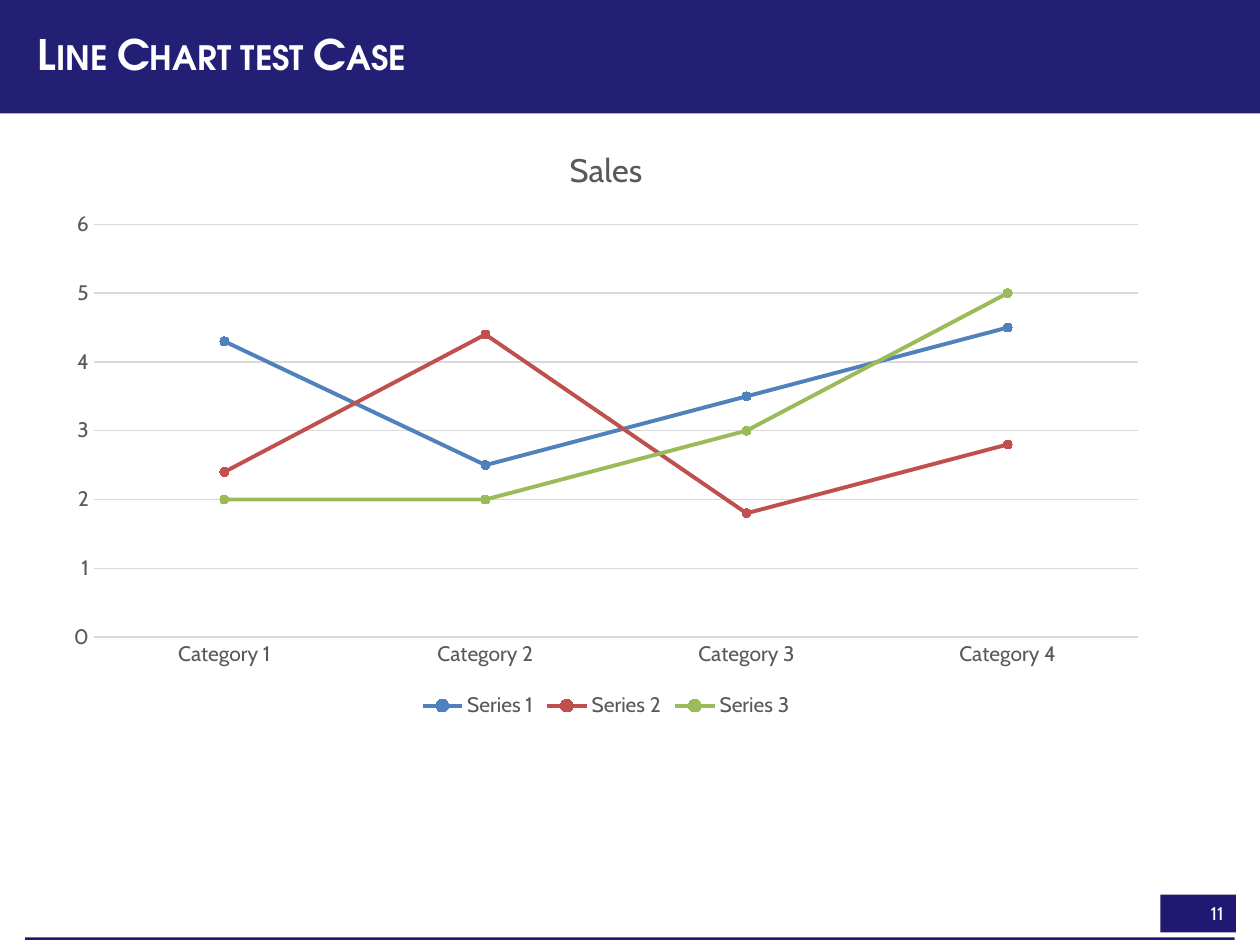
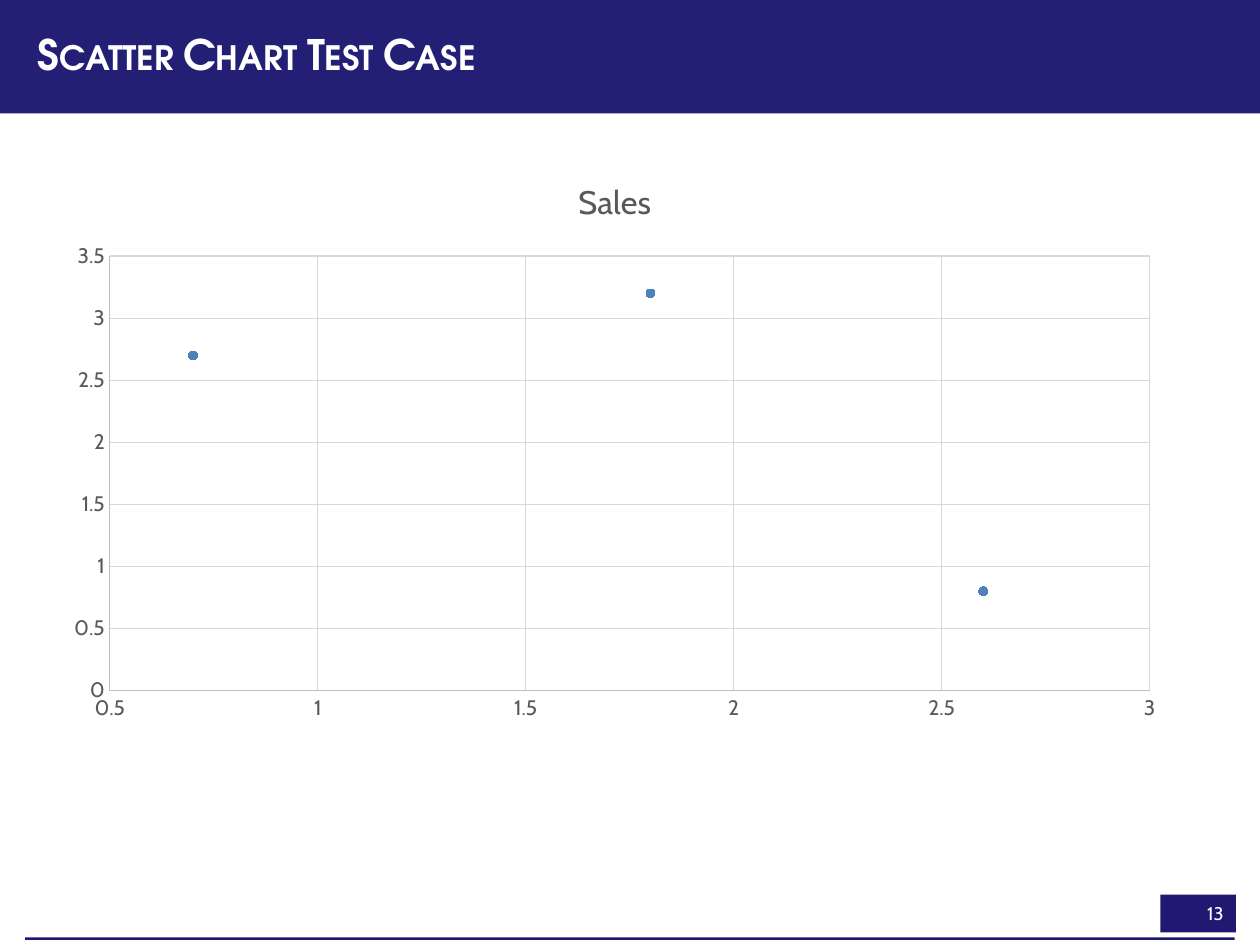
from dataclasses import dataclass

from pptx import Presentation
from pptx.chart.data import CategoryChartData, XyChartData
from pptx.dml.color import RGBColor
from pptx.enum.chart import XL_CHART_TYPE as ChartType
from pptx.enum.chart import XL_LEGEND_POSITION as LegendPosition
from pptx.enum.chart import XL_MARKER_STYLE as MarkerStyle
from pptx.enum.chart import XL_TICK_MARK as TickMark
from pptx.enum.shapes import MSO_SHAPE as ShapeType
from pptx.enum.text import MSO_ANCHOR as Anchor
from pptx.enum.text import PP_ALIGN as Align
from pptx.util import Inches, Pt


@dataclass(frozen=True)
class Theme:
    band: str = "231F74"
    rule: str = "20186F"
    number_box: str = "211971"
    white: str = "FFFFFF"
    chart_text: str = "595959"
    grid: str = "D9D9D9"
    scatter_axis: str = "BFBFBF"
    series: tuple = ("4F81BD", "C0504D", "9BBB59")
    title_font: str = "TeX Gyre Adventor"
    body_font: str = "Cabin"
    title_size: float = 24
    number_size: float = 10.5
    chart_title_size: float = 18.6
    label_size: float = 12
    hairline: float = 0.75
    series_line: float = 2.25
    marker: int = 5


THEME = Theme()
SLIDE_WIDTH, SLIDE_HEIGHT = 10, 7.5
MARGIN = 0.2


def rgb(color):
    return RGBColor.from_string(color)


def format_font(font, size, color, name=THEME.body_font, bold=False):
    font.size = Pt(size)
    font.name = name
    font.bold = bold
    font.color.rgb = rgb(color)


def write_text(frame, text, size, color, name=THEME.body_font, bold=False,
               small_caps=False, align=Align.LEFT, spacing=1.0):
    frame.word_wrap = True
    frame.vertical_anchor = Anchor.MIDDLE
    paragraph = frame.paragraphs[0]
    paragraph.alignment = align
    paragraph.line_spacing = spacing
    run = paragraph.add_run()
    run.text = text
    format_font(run.font, size, color, name, bold)
    if small_caps:
        run.font._element.set("cap", "small")


def add_bar(slide, box, color):
    bar = slide.shapes.add_shape(ShapeType.RECTANGLE, *map(Inches, box))
    bar.shadow.inherit = False
    bar.fill.solid()
    bar.fill.fore_color.rgb = rgb(color)
    bar.line.fill.background()
    return bar


def add_header(slide, box, title):
    left, top, width, height = box
    add_bar(slide, box, THEME.band)
    title_box = slide.shapes.add_textbox(
        Inches(left + MARGIN), Inches(top + 0.1),
        Inches(width - 2 * MARGIN), Inches(height - 0.2))
    write_text(title_box.text_frame, title, THEME.title_size, THEME.white,
               name=THEME.title_font, bold=True, small_caps=True, spacing=0.9)


def add_footer(slide, box, number):
    left, top, width, height = box
    number_box = add_bar(slide, (left + width - 0.59, top, 0.6, 0.3), THEME.number_box)
    write_text(number_box.text_frame, str(number), THEME.number_size,
               THEME.white, align=Align.RIGHT)
    add_bar(slide, (left, top + height - 0.02, width, 0.02), THEME.rule)


def add_base_slide(presentation, title, number):
    slide = presentation.slides.add_slide(presentation.slide_layouts[6])
    add_footer(slide, (MARGIN, 7.1, SLIDE_WIDTH - 2 * MARGIN, 0.36), number)
    add_header(slide, (0, 0, SLIDE_WIDTH, 0.9), title)
    return slide


def style_line(line, color, width=THEME.hairline):
    line.color.rgb = rgb(color)
    line.width = Pt(width)


def style_axis(axis, line_color=None, grid=True, scale=None):
    axis.major_tick_mark = axis.minor_tick_mark = TickMark.NONE
    format_font(axis.tick_labels.font, THEME.label_size, THEME.chart_text)
    axis.tick_labels.number_format = "General"
    axis.tick_labels.number_format_is_linked = False
    if line_color:
        style_line(axis.format.line, line_color)
    else:
        axis.format.line.fill.background()
    axis.has_major_gridlines = grid
    if grid:
        style_line(axis.major_gridlines.format.line, THEME.grid)
    if scale:
        axis.minimum_scale, axis.maximum_scale, axis.major_unit = scale


def add_chart(slide, box, chart_type, data, title):
    chart = slide.shapes.add_chart(chart_type, *map(Inches, box), data).chart
    format_font(chart.font, THEME.label_size, THEME.chart_text)
    chart.has_title = True
    write_text(chart.chart_title.text_frame, title, THEME.chart_title_size,
               THEME.chart_text, align=Align.CENTER)
    chart.chart_title.include_in_layout = False
    chart.has_legend = False
    plot = chart.plots[0]
    plot.vary_by_categories = False
    for series, color in zip(plot.series, THEME.series):
        series.smooth = False
        series.marker.style = MarkerStyle.CIRCLE
        series.marker.size = THEME.marker
        marker_format = series.marker.format
        marker_format.fill.solid()
        marker_format.fill.fore_color.rgb = rgb(color)
        style_line(marker_format.line, color)
        if chart_type == ChartType.XY_SCATTER:
            series.format.line.fill.background()
        else:
            style_line(series.format.line, color, THEME.series_line)
    return chart


def add_line_chart(slide, box, title, categories, values_by_series):
    data = CategoryChartData()
    data.categories = categories
    for name, values in values_by_series.items():
        data.add_series(name, values)
    chart = add_chart(slide, box, ChartType.LINE_MARKERS, data, title)
    style_axis(chart.category_axis, THEME.grid, grid=False)
    style_axis(chart.value_axis, scale=(0, 6, 1))
    chart.has_legend = True
    chart.legend.position = LegendPosition.BOTTOM
    chart.legend.include_in_layout = False
    format_font(chart.legend.font, THEME.label_size, THEME.chart_text)


def add_scatter_chart(slide, box, title, name, points):
    data = XyChartData()
    series = data.add_series(name)
    for x, y in points:
        series.add_data_point(x, y)
    chart = add_chart(slide, box, ChartType.XY_SCATTER, data, title)
    style_axis(chart.category_axis, THEME.scatter_axis, scale=(0.5, 3, 0.5))
    style_axis(chart.value_axis, THEME.scatter_axis, scale=(0, 3.5, 0.5))


def main():
    presentation = Presentation()
    presentation.slide_width = Inches(SLIDE_WIDTH)
    presentation.slide_height = Inches(SLIDE_HEIGHT)

    line_slide = add_base_slide(presentation, "Line Chart test Case", 11)
    add_line_chart(
        line_slide, (0.41, 0.97, 8.8, 4.77), "Sales",
        [f"Category {index}" for index in range(1, 5)],
        {"Series 1": (4.3, 2.5, 3.5, 4.5),
         "Series 2": (2.4, 4.4, 1.8, 2.8),
         "Series 3": (2, 2, 3, 5)})

    scatter_slide = add_base_slide(presentation, "Scatter Chart Test Case", 13)
    add_scatter_chart(
        scatter_slide, (0.41, 1.23, 8.94, 4.58), "Sales", "Series 1",
        [(0.7, 2.7), (1.8, 3.2), (2.6, 0.8)])

    presentation.save("out.pptx")


if __name__ == "__main__":
    main()
